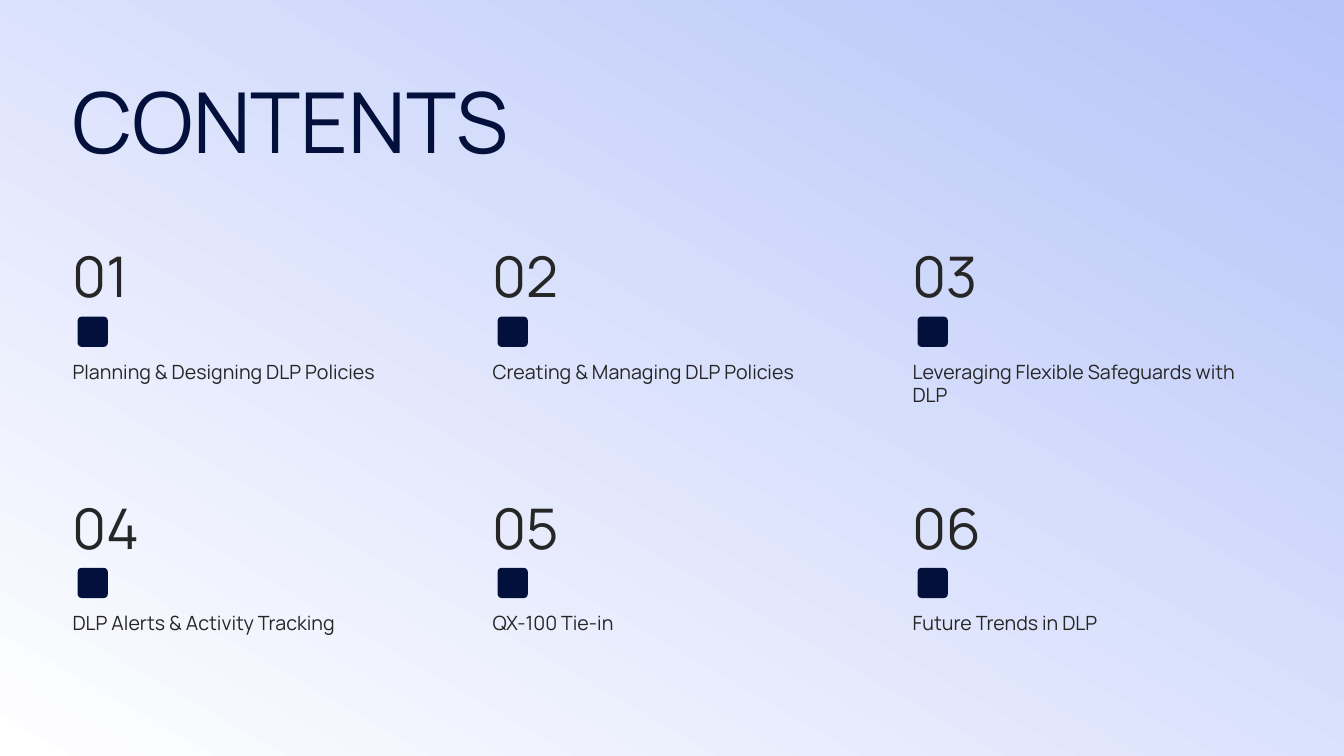
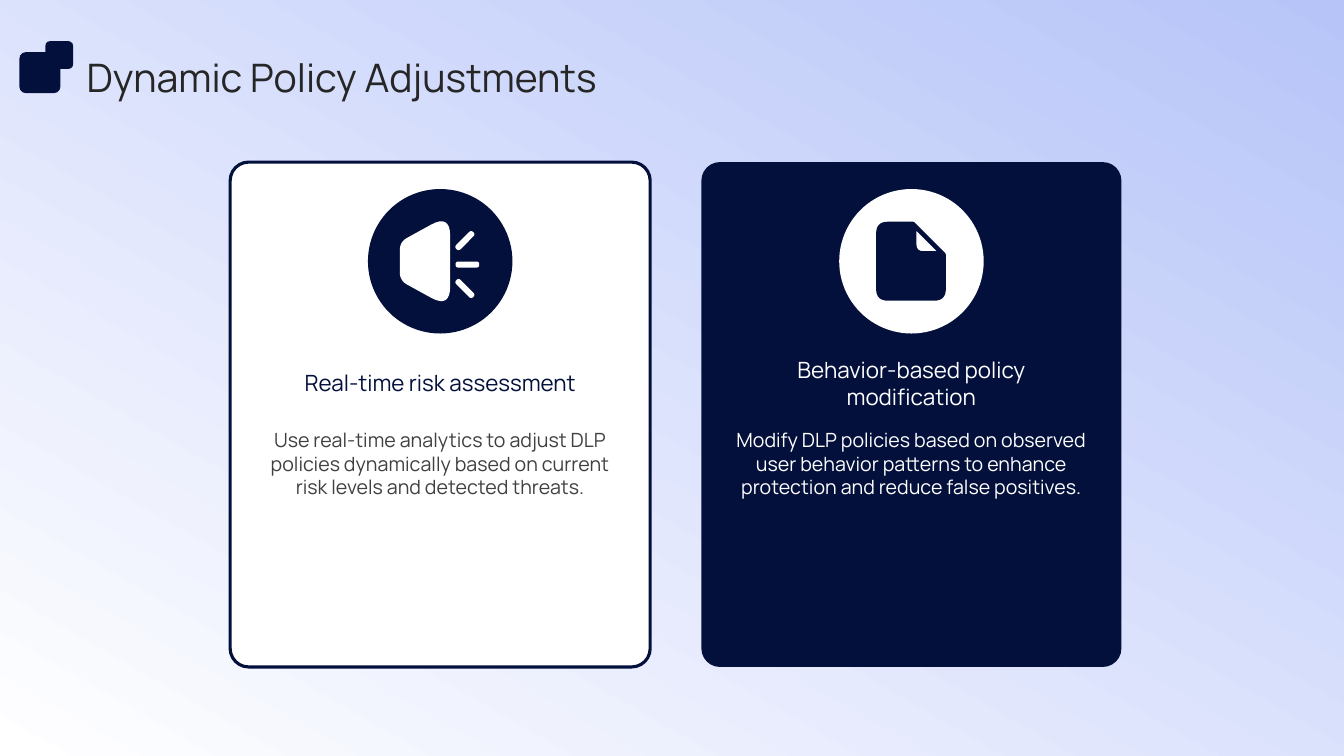
from math import hypot

from pptx import Presentation
from pptx.dml.color import RGBColor
from pptx.enum.shapes import MSO_SHAPE as Preset
from pptx.enum.text import MSO_ANCHOR as Anchor, PP_ALIGN as Align
from pptx.util import Inches, Pt

# Slide size and its grid of 160 by 90 square cells
SLIDE_WIDTH, SLIDE_HEIGHT = Inches(13.333), Inches(7.5)
COLUMNS, ROWS = 160, 90
CELL = SLIDE_HEIGHT / ROWS

# Shared style
FONT = "Manrope"
NAVY = RGBColor(0x03, 0x10, 0x3B)
INK = RGBColor(0x26, 0x26, 0x26)
GRAY = RGBColor(0x40, 0x40, 0x40)
WHITE = RGBColor(0xFF, 0xFF, 0xFF)
PERIWINKLE = RGBColor(0xB6, 0xC4, 0xF8)
MARGIN = 8.64
CARD_INSETS = (Inches(0.1), Inches(0.05))

TOPICS = [
    "Planning & Designing DLP Policies",
    "Creating & Managing DLP Policies",
    "Leveraging Flexible Safeguards with DLP",
    "DLP Alerts & Activity Tracking",
    "QX-100 Tie-in",
    "Future Trends in DLP",
]


def cells(*lengths):
    return [round(length * CELL) for length in lengths]


def add_block(slide, preset, box, fill, line=None, corner=None):
    shape = slide.shapes.add_shape(preset, *cells(*box))
    shape.shadow.inherit = False
    shape.fill.solid()
    shape.fill.fore_color.rgb = fill
    if line is None:
        shape.line.fill.background()
    else:
        shape.line.color.rgb = line
        shape.line.width = Pt(2.25)
    if corner is not None:
        shape.adjustments[0] = corner
    return shape


def add_text(slide, box, text, size, color, align=Align.LEFT,
             anchor=Anchor.TOP, insets=(0, 0)):
    frame = slide.shapes.add_textbox(*cells(*box)).text_frame
    frame.word_wrap = True
    frame.vertical_anchor = anchor
    frame.margin_left = frame.margin_right = insets[0]
    frame.margin_top = frame.margin_bottom = insets[1]
    paragraph = frame.paragraphs[0]
    paragraph.alignment = align
    run = paragraph.add_run()
    run.text = text
    run.font.name = FONT
    run.font.size = Pt(size)
    run.font.color.rgb = color


def add_slide(presentation):
    """Add a blank slide with the diagonal gradient backdrop."""
    slide = presentation.slides.add_slide(presentation.slide_layouts[6])
    backdrop = add_block(slide, Preset.RECTANGLE, (0, 0, COLUMNS, ROWS), WHITE)
    backdrop.fill.gradient()
    backdrop.fill.gradient_angle = 240
    for stop, color in zip(backdrop.fill.gradient_stops, (PERIWINKLE, WHITE)):
        stop.color.rgb = color
    return slide


# Icon outlines, measured in cells from the centre of the disc
def round_corners(corners, cuts, steps=8):
    """Replace each corner with a curve that starts its cut away from it."""
    points = []
    for index, (x, y) in enumerate(corners):
        cut = cuts[index]
        if not cut:
            points.append((x, y))
            continue
        ends = []
        for near_x, near_y in (corners[index - 1],
                               corners[(index + 1) % len(corners)]):
            share = cut / hypot(near_x - x, near_y - y)
            ends.append((x + (near_x - x) * share, y + (near_y - y) * share))
        (x0, y0), (x1, y1) = ends
        for step in range(steps + 1):
            t = step / steps
            a, b, c = (1 - t) ** 2, 2 * t * (1 - t), t ** 2
            points.append((a * x0 + b * x + c * x1, a * y0 + b * y + c * y1))
    return points


def ray(x0, y0, x1, y1, radius=0.36):
    """Outline a round-ended stroke between two points."""
    length = hypot(x1 - x0, y1 - y0)
    u, v = (x1 - x0) / length * radius, (y1 - y0) / length * radius
    corners = [(x0 - u + v, y0 - v - u), (x1 + u + v, y1 + v - u),
               (x1 + u - v, y1 + v + u), (x0 - u - v, y0 - v + u)]
    return round_corners(corners, [radius] * 4)


def megaphone():
    body = [(1.2, -5.6), (1.2, 5.6), (-4.8, 2.3), (-4.8, -2.3)]
    return [round_corners(body, (2.6, 2.6, 1, 1)),
            ray(2.2, 0.4, 4.3, 0.4),
            ray(2.2, -1.7, 3.7, -3.2),
            ray(2.2, 2.5, 3.7, 4)]


def document():
    sheet = [(-4.2, -4.7), (0.3, -4.7), (4.1, -0.9), (4.1, 4.7), (-4.2, 4.7)]
    fold = [(0.6, -3.6), (0.6, -1.2), (3, -1.2)]
    return [round_corners(sheet, (1.4, 0.2, 0.2, 1.4, 1.4)),
            round_corners(fold, (0, 0.8, 0))]


def add_icon(slide, center_x, center_y, outlines, color):
    contours = [[cells(center_x + x, center_y + y) for x, y in outline]
                for outline in outlines]
    builder = slide.shapes.build_freeform(*contours[0][0])
    for index, contour in enumerate(contours):
        if index:
            builder.move_to(*contour[0])
        builder.add_line_segments(contour[1:], close=True)
    shape = builder.convert_to_shape()
    shape.shadow.inherit = False
    shape.fill.solid()
    shape.fill.fore_color.rgb = color
    shape.line.fill.background()


# Content elements
def add_topic(slide, index, topic):
    row, column = divmod(index, 3)
    left, top = MARGIN + 50 * column, 28.8 + 29.9 * row
    add_text(slide, (left, top, 18.8, 7), f"{index + 1:02}", 40, INK)
    add_block(slide, Preset.ROUNDED_RECTANGLE,
              (left + 0.6, top + 8.9, 3.6, 3.6), NAVY, corner=0.135)
    add_text(slide, (left, top + 14, 42.5, 12.2), topic, 14, INK)


def add_card(slide, center, heading, body, outlines, fill, accent, body_color,
             line=None):
    width, text_width, disc, disc_middle = 50, 45.4, 17.2, 31.1
    text_left = center - text_width / 2
    add_block(slide, Preset.ROUNDED_RECTANGLE,
              (center - width / 2, 19.3, width, 60.1), fill, line, 0.044)
    add_block(slide, Preset.OVAL, (center - disc / 2, disc_middle - disc / 2,
                                   disc, disc), accent)
    add_icon(slide, center, disc_middle, outlines, fill)
    add_text(slide, (text_left, 41.9, text_width, 7.3), heading, 16, accent,
             Align.CENTER, Anchor.MIDDLE, CARD_INSETS)
    add_text(slide, (text_left, 50.4, text_width, 27.2), body, 14, body_color,
             Align.CENTER, insets=CARD_INSETS)


# Slides
def build_contents(presentation):
    slide = add_slide(presentation)
    add_text(slide, (MARGIN, 10.2, 80, 10.1), "CONTENTS", 60, NAVY,
             anchor=Anchor.BOTTOM)
    for index, topic in enumerate(TOPICS):
        add_topic(slide, index, topic)


def build_adjustments(presentation):
    slide = add_slide(presentation)
    add_text(slide, (10.3, 6.1, 140, 6.1), "Dynamic Policy Adjustments", 28,
             INK, anchor=Anchor.MIDDLE)
    for left, top, side in ((2.3, 6.2, 4.9), (5.4, 4.9, 3.3)):
        add_block(slide, Preset.ROUNDED_RECTANGLE, (left, top, side, side), NAVY)
    add_card(slide, 52.4, "Real-time risk assessment",
             "Use real-time analytics to adjust DLP policies dynamically "
             "based on current risk levels and detected threats.",
             megaphone(), WHITE, NAVY, GRAY, line=NAVY)
    add_card(slide, 108.5, "Behavior-based policy modification",
             "Modify DLP policies based on observed user behavior patterns "
             "to enhance protection and reduce false positives.",
             document(), NAVY, WHITE, WHITE)


def main():
    presentation = Presentation()
    presentation.slide_width = SLIDE_WIDTH
    presentation.slide_height = SLIDE_HEIGHT
    build_contents(presentation)
    build_adjustments(presentation)
    presentation.save("out.pptx")


if __name__ == "__main__":
    main()
